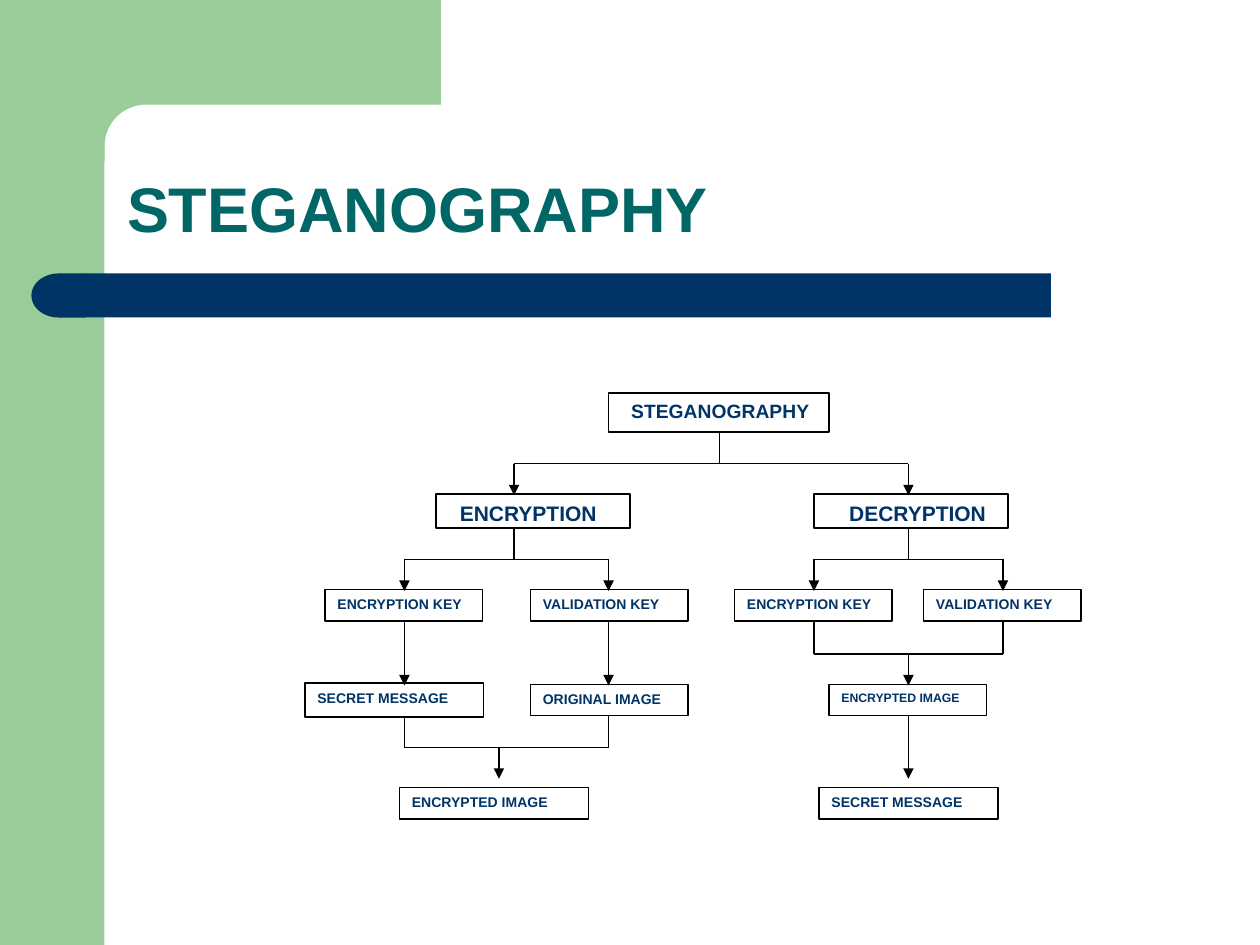
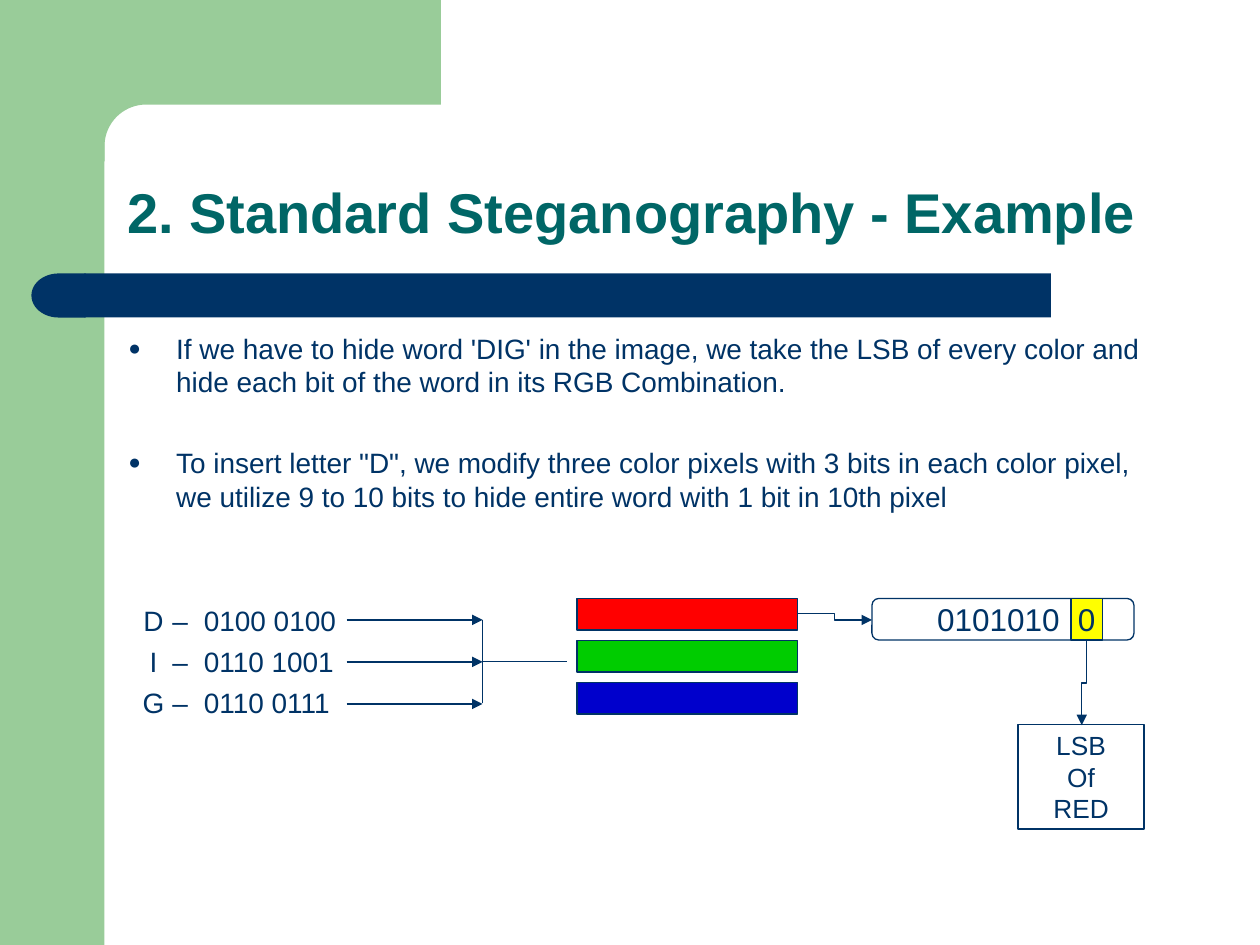
import math
from typing import NamedTuple, Optional

from lxml import etree
from pptx import Presentation
from pptx.dml.color import RGBColor
from pptx.enum import shapes, text
from pptx.oxml import ns
from pptx.util import Inches, Pt

GREEN = RGBColor(0x99, 0xCC, 0x99)
NAVY = RGBColor(0x00, 0x33, 0x66)
TEAL = RGBColor(0x00, 0x66, 0x66)
BLACK = RGBColor(0x00, 0x00, 0x00)
WHITE = RGBColor(0xFF, 0xFF, 0xFF)
YELLOW = RGBColor(0xFF, 0xFF, 0x00)
PIXEL_COLORS = (RGBColor(0xFF, 0, 0), RGBColor(0, 0xCC, 0), RGBColor(0, 0, 0xCC))

FONT = "Arial"
LINE_WIDTH = Pt(0.75)
STEP = 0.25  # length of each short branch in the tree
RECT = shapes.MSO_SHAPE.RECTANGLE
ELBOW = shapes.MSO_CONNECTOR.ELBOW
CENTER = text.PP_ALIGN.CENTER
MIDDLE = text.MSO_ANCHOR.MIDDLE


class Area(NamedTuple):
    left: float
    top: float
    width: float
    height: float

    def lengths(self) -> list:
        return [Inches(value) for value in self]


class Step(NamedTuple):
    label: str
    area: Area
    size: int = 8
    pad: float = 0.1


class Branch(NamedTuple):
    """A stem joined to a left and a right arm by a horizontal bus."""
    stem: float
    top: float
    left: float
    right: float


class Drop(NamedTuple):
    x: float
    top: float
    length: float


STEPS = (
    Step("STEGANOGRAPHY", Area(4.83, 3.12, 1.75, 0.31), 11, 0.18),
    Step("ENCRYPTION", Area(3.46, 3.92, 1.54, 0.27), 12, 0.19),
    Step("DECRYPTION", Area(6.46, 3.92, 1.54, 0.27), 12, 0.28),
    Step("ENCRYPTION KEY", Area(2.58, 4.68, 1.25, 0.25)),
    Step("VALIDATION KEY", Area(4.21, 4.68, 1.25, 0.25)),
    Step("ENCRYPTION KEY", Area(5.83, 4.68, 1.25, 0.25)),
    Step("VALIDATION KEY", Area(7.33, 4.68, 1.25, 0.25)),
    Step("ORIGINAL IMAGE", Area(4.21, 5.43, 1.25, 0.25)),
    Step("SECRET MESSAGE", Area(2.42, 5.42, 1.42, 0.27)),
    Step("ENCRYPTED IMAGE", Area(6.58, 5.43, 1.25, 0.25), 7),
    Step("SECRET MESSAGE", Area(6.5, 6.25, 1.42, 0.25)),
    Step("ENCRYPTED IMAGE", Area(3.17, 6.25, 1.5, 0.25)),
)
SPLITS = (
    Branch(5.71, 3.43, 4.08, 7.21),
    Branch(4.08, 4.19, 3.21, 4.83),
    Branch(7.21, 4.19, 6.46, 7.96),
)
MERGES = (Branch(3.96, 5.68, 3.21, 4.83), Branch(7.21, 4.94, 6.46, 7.96))
DROPS = (Drop(3.21, 4.94, 0.5), Drop(4.83, 4.94, 0.5), Drop(7.21, 5.68, 0.5))

BULLETS = (
    "If we have to hide word 'DIG' in the image, we take the LSB of every color "
    "and hide each bit of the word in its RGB Combination.",
    'To insert letter "D", we modify three color pixels with 3 bits in each color '
    "pixel, we utilize 9 to 10 bits to hide entire word with 1 bit in 10th pixel",
)
LETTER_CODES = (("D", "0100 0100"), ("I", "0110 1001"), ("G", "0110 0111"))
CODE_TABS = ((0.2, "ctr"), (0.35, "l"), (0.6, "l"))


def apply(target, **values) -> None:
    for name, value in values.items():
        setattr(target, name, value)


def write(paragraph, words: str, size: float, color: RGBColor = NAVY,
          bold: bool = False) -> None:
    paragraph.text = words
    apply(paragraph.font, name=FONT, size=Pt(size), bold=bold)
    paragraph.font.color.rgb = color


def add_paragraph(frame, position: int):
    return frame.add_paragraph() if position else frame.paragraphs[0]


def add_property(paragraph, tag: str, **attributes):
    properties = paragraph._p.get_or_add_pPr()
    return etree.SubElement(properties, ns.qn(tag), attributes)


def add_block(slide, area: Area, fill: Optional[RGBColor],
              outline: Optional[RGBColor] = None, kind=RECT):
    block = slide.shapes.add_shape(kind, *area.lengths())
    style_block(block, fill, outline)
    return block


def style_block(block, fill: Optional[RGBColor], outline: Optional[RGBColor]) -> None:
    block.shadow.inherit = False
    if fill is None:
        block.fill.background()
    else:
        block.fill.solid()
        block.fill.fore_color.rgb = fill
    if outline is None:
        block.line.fill.background()
    else:
        block.line.color.rgb = outline
        block.line.width = LINE_WIDTH


def add_line(slide, start: tuple, end: tuple, color: RGBColor, arrow: bool = False,
             kind=shapes.MSO_CONNECTOR.STRAIGHT, turn: int = 0) -> None:
    """Draw a connector, turned clockwise by the given degrees."""
    ends = [Inches(value) for value in (*start, *end)]
    connector = slide.shapes.add_connector(kind, *ends)
    connector.line.color.rgb = color
    connector.line.width = LINE_WIDTH
    if arrow:
        etree.SubElement(connector.line._get_or_add_ln(), ns.qn("a:tailEnd"),
                         type="triangle")
    properties = connector._element.spPr
    etree.SubElement(properties, ns.qn("a:effectLst"))
    if turn:
        properties.find(ns.qn("a:xfrm")).set("rot", str(turn * 60000))


def add_corner(slide) -> None:
    """Draw the top band, with a rounded inner corner beside the side band."""
    radius, center = 0.33, 1.16
    arc = [
        (center - radius * math.sin(angle), center - radius * math.cos(angle))
        for angle in (math.radians(degrees) for degrees in range(0, 91, 5))
    ]
    points = [(3.5, 0.83), *arc, (0.83, 1.28), (0.5, 1.28), (0.5, 0)]
    builder = slide.shapes.build_freeform(Inches(3.5), 0)
    builder.add_line_segments([(Inches(x), Inches(y)) for x, y in points])
    style_block(builder.convert_to_shape(), GREEN, None)


def add_titled_slide(deck, title: str, size: int):
    slide = deck.slides.add_slide(deck.slide_layouts[6])
    add_block(slide, Area(0, 0, 0.83, 7.5), GREEN)
    add_corner(slide)
    add_block(slide, Area(0.67, 2.17, 7.67, 0.35), NAVY)
    cap = add_block(slide, Area(0.25, 2.17, 0.43, 0.35), NAVY,
                    kind=shapes.MSO_SHAPE.FLOWCHART_DELAY)
    cap._element.spPr.find(ns.qn("a:xfrm")).set("flipH", "1")
    frame = slide.shapes.add_textbox(*Area(0.91, 0.91, 8.51, 1.09).lengths()).text_frame
    apply(frame, word_wrap=True, vertical_anchor=text.MSO_ANCHOR.BOTTOM)
    write(frame.paragraphs[0], title, size, TEAL, True)
    frame.paragraphs[0].line_spacing = 0.9
    return slide


def add_step(slide, step: Step) -> None:
    frame = add_block(slide, step.area, WHITE, BLACK).text_frame
    apply(frame, word_wrap=True, vertical_anchor=text.MSO_ANCHOR.TOP,
          margin_left=Inches(step.pad))
    frame.paragraphs[0].alignment = text.PP_ALIGN.LEFT
    write(frame.paragraphs[0], step.label, step.size, bold=True)


def add_drop(slide, x: float, top: float, length: float = STEP,
             arrow: bool = True) -> None:
    add_line(slide, (x, top), (x, top + length), BLACK, arrow)


def add_branch(slide, branch: Branch, merging: bool) -> None:
    stem, arms = (branch.stem,), (branch.left, branch.right)
    upper, lower = (arms, stem) if merging else (stem, arms)
    bus = branch.top + STEP
    for x in upper:
        add_drop(slide, x, branch.top, arrow=False)
    add_line(slide, (branch.left, bus), (branch.right, bus), BLACK)
    for x in lower:
        add_drop(slide, x, bus)


def add_bullets(slide) -> None:
    frame = slide.shapes.add_textbox(*Area(0.92, 2.58, 8.41, 1.7).lengths()).text_frame
    frame.word_wrap = True
    for position, sentence in enumerate(BULLETS):
        paragraph = add_paragraph(frame, position)
        properties = paragraph._p.get_or_add_pPr()
        properties.set("marL", str(Inches(0.38)))
        properties.set("indent", str(Inches(-0.38)))
        color = add_property(paragraph, "a:buClr")
        etree.SubElement(color, ns.qn("a:srgbClr"), val=str(NAVY))
        add_property(paragraph, "a:buSzPct", val="75000")
        add_property(paragraph, "a:buFont", typeface=FONT)
        add_property(paragraph, "a:buChar", char="●")
        write(paragraph, sentence, 16)
        paragraph.space_before = Pt(27 * position)


def add_letter_codes(slide) -> None:
    frame = slide.shapes.add_textbox(*Area(0.92, 4.7, 2.4, 1.1).lengths()).text_frame
    apply(frame, word_wrap=True, vertical_anchor=MIDDLE)
    for position, (letter, bits) in enumerate(LETTER_CODES):
        paragraph = add_paragraph(frame, position)
        tabs = add_property(paragraph, "a:tabLst")
        for stop, align in CODE_TABS:
            etree.SubElement(tabs, ns.qn("a:tab"), pos=str(Inches(stop)), algn=align)
        write(paragraph, f"\t{letter}\t–\t{bits}", 16)
        paragraph.space_before = Pt(4.4 if position else 0)


def add_note(slide, area: Area, lines: tuple, size: int,
             fill: Optional[RGBColor] = None, kind=RECT):
    note = add_block(slide, area, fill, NAVY, kind)
    apply(note.text_frame, word_wrap=False, vertical_anchor=MIDDLE)
    for position, words in enumerate(lines):
        paragraph = add_paragraph(note.text_frame, position)
        write(paragraph, words, size)
        paragraph.alignment = CENTER
    return note


def build_tree_slide(deck) -> None:
    slide = add_titled_slide(deck, "STEGANOGRAPHY", 36)
    for step in STEPS:
        add_step(slide, step)
    for split in SPLITS:
        add_branch(slide, split, merging=False)
    for merge in MERGES:
        add_branch(slide, merge, merging=True)
    for drop in DROPS:
        add_drop(slide, *drop)


def build_example_slide(deck) -> None:
    slide = add_titled_slide(deck, "2. Standard Steganography - Example", 32)
    add_bullets(slide)
    add_letter_codes(slide)
    row_gap = 1 / 3
    for row, color in enumerate(PIXEL_COLORS):
        y = 4.92 + row * row_gap
        add_line(slide, (2.75, y), (3.83, y), NAVY, arrow=True)
        add_block(slide, Area(4.58, 4.75 + row * row_gap, 1.75, 0.25), color, NAVY)
    add_line(slide, (3.83, 4.92), (3.83, 5.58), NAVY)
    add_line(slide, (3.83, 5.25), (4.5, 5.25), NAVY)

    red_bits = add_note(slide, Area(6.92, 4.75, 2.08, 0.33), ("0101010",), 18,
                        kind=shapes.MSO_SHAPE.ROUNDED_RECTANGLE)
    red_bits.text_frame.margin_right = Inches(0.17)
    add_line(slide, (6.33, 4.87), (6.92, 4.92), NAVY, True, ELBOW)
    add_note(slide, Area(8.5, 4.75, 0.25, 0.33), ("0",), 18, YELLOW)
    add_note(slide, Area(8.08, 5.75, 1, 0.83), ("LSB", "Of", "RED"), 15)
    add_line(slide, (8.27, 5.4), (8.94, 5.44), NAVY, True, ELBOW, turn=90)


def main() -> None:
    deck = Presentation()
    apply(deck, slide_width=Inches(10), slide_height=Inches(7.5))
    build_tree_slide(deck)
    build_example_slide(deck)
    deck.save("out.pptx")


if __name__ == "__main__":
    main()
